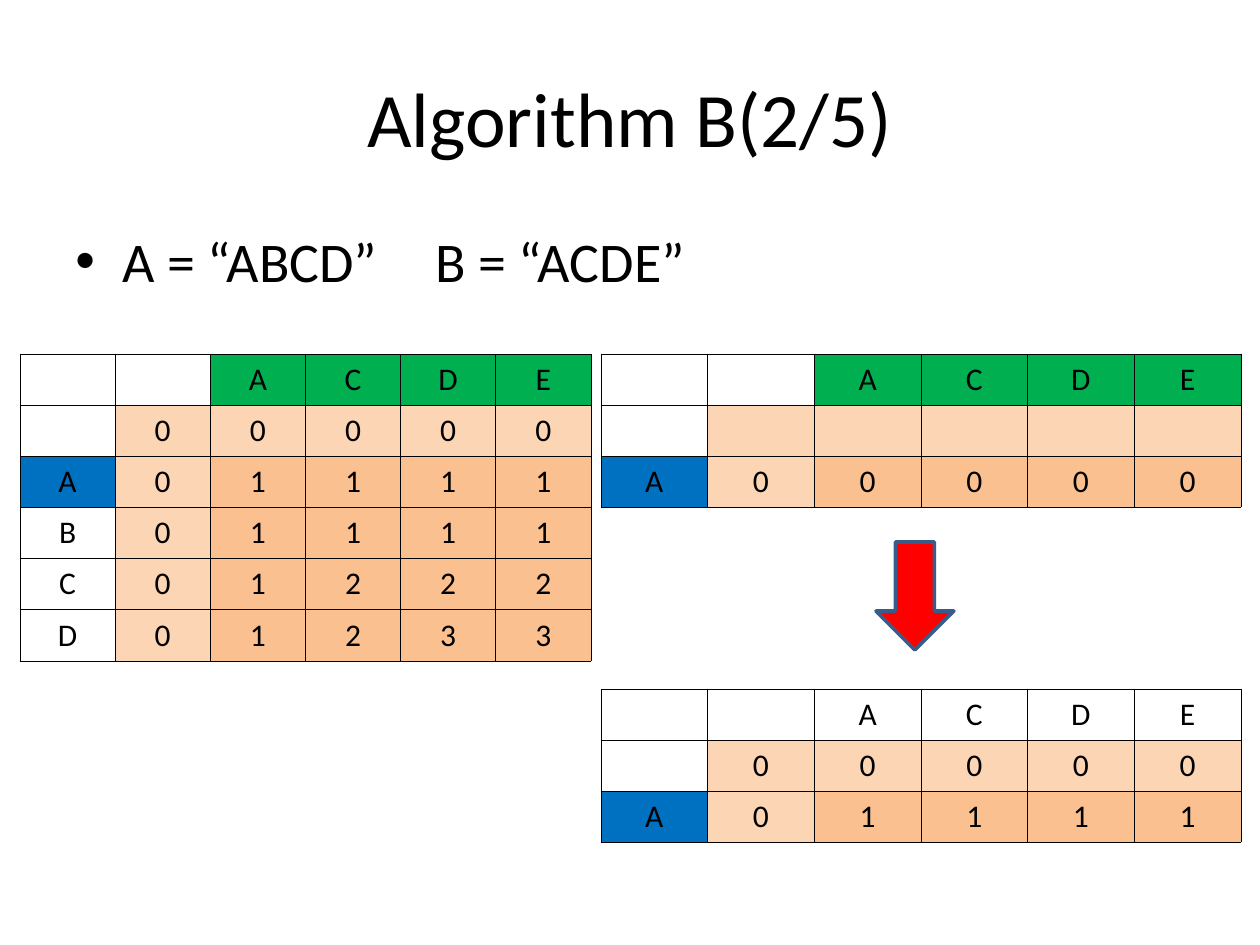
"""Build the slide on the table-filling steps of Algorithm B."""
from lxml.etree import SubElement
from pptx import Presentation
from pptx.dml.color import RGBColor
from pptx.enum.shapes import MSO_SHAPE
from pptx.enum.text import MSO_ANCHOR, PP_ALIGN
from pptx.oxml.ns import qn
from pptx.util import Pt

EMU_PER_PX = 914400 / 126
FONT = "Calibri"
COLORS = {
    "text": "000000",
    "border": "000000",
    "column": "00B050",
    "row": "0070C0",
    "base": "FCD5B5",
    "result": "FAC090",
    "arrow": "FF0000",
    "arrow_line": "385D8A",
}


def px(length):
    """Turn pixels into EMU."""
    return round(length * EMU_PER_PX)


def color(name):
    """Return the named colour."""
    return RGBColor.from_string(COLORS[name])


def write(para, text, size=18, align=PP_ALIGN.LEFT):
    """Write one formatted span into a paragraph."""
    para.alignment = align
    span = para.add_run()
    span.text = text
    span.font.name = FONT
    span.font.size = Pt(size)
    span.font.bold = False
    span.font.color.rgb = color("text")


def add_text_box(page, box, anchor):
    """Add a wrapping text box and return its first paragraph."""
    frame = page.shapes.add_textbox(*map(px, box)).text_frame
    frame.word_wrap = True
    frame.vertical_anchor = anchor
    return frame.paragraphs[0]


def add_title(page, box, text):
    """Add the centred slide title."""
    write(add_text_box(page, box, MSO_ANCHOR.MIDDLE), text, size=44, align=PP_ALIGN.CENTER)


def add_bullet(page, box, text, indent, tab):
    """Add a bulleted line with one tab stop."""
    para = add_text_box(page, box, MSO_ANCHOR.TOP)
    props = para._p.get_or_add_pPr()
    props.set("marL", str(px(indent)))
    props.set("indent", str(-px(indent)))
    SubElement(props, qn("a:buFont"), typeface="Arial")
    SubElement(props, qn("a:buChar"), char="•")
    stops = SubElement(props, qn("a:tabLst"))
    SubElement(stops, qn("a:tab"), pos=str(px(tab)), algn="l")
    write(para, text, size=32)


def add_borders(cell):
    """Draw a thin line on all four sides of a cell."""
    props = cell._tc.get_or_add_tcPr()
    for side in ("a:lnL", "a:lnR", "a:lnT", "a:lnB"):
        line = SubElement(props, qn(side), w=str(Pt(0.45)))
        fill = SubElement(line, qn("a:solidFill"))
        SubElement(fill, qn("a:srgbClr"), val=COLORS["border"])


def cell_role(row, column, mark_columns):
    """Return the colour name of a cell, or None for a plain one."""
    if row == 0:
        return "column" if mark_columns and column > 1 else None
    if column == 0:
        return "row" if row == 2 else None
    return "base" if row == 1 or column == 1 else "result"


def add_grid(page, box, rows, mark_columns=True):
    """Add a table of equal cells, one string of rows per table row."""
    left, top, width, height = box
    count = len(rows[0])
    table = page.shapes.add_table(len(rows), count, *map(px, box)).table
    table.first_row = False
    table.horz_banding = False
    for column in table.columns:
        column.width = px(width / count)
    for row_index, letters in enumerate(rows):
        table.rows[row_index].height = px(height / len(rows))
        for column_index, letter in enumerate(letters):
            cell = table.cell(row_index, column_index)
            add_borders(cell)
            role = cell_role(row_index, column_index, mark_columns)
            if role:
                cell.fill.solid()
                cell.fill.fore_color.rgb = color(role)
            else:
                cell.fill.background()
            if letter != " ":
                write(cell.text_frame.paragraphs[0], letter, align=PP_ALIGN.CENTER)


def add_arrow(page, box):
    """Add the block arrow pointing down."""
    arrow = page.shapes.add_shape(MSO_SHAPE.DOWN_ARROW, *map(px, box))
    arrow.shadow.inherit = False
    arrow.fill.solid()
    arrow.fill.fore_color.rgb = color("arrow")
    arrow.line.color.rgb = color("arrow_line")
    arrow.line.width = Pt(2)


def main():
    """Build and save the deck."""
    deck = Presentation()
    deck.slide_width, deck.slide_height = px(1260), px(945)
    page = deck.slides.add_slide(deck.slide_layouts[6])
    add_title(page, (63, 38, 1134, 157), "Algorithm B(2/5)")
    add_bullet(page, (63, 220, 1134, 624), "A = “ABCD”\tB = “ACDE”", indent=47, tab=360)
    header = "  ACDE"
    add_grid(page, (20, 354, 571, 307),
             [header, " 00000", "A01111", "B01111", "C01222", "D01233"])
    add_grid(page, (601, 354, 640, 153), [header, "      ", "A00000"])
    add_grid(page, (601, 689, 640, 153), [header, " 00000", "A01111"], mark_columns=False)
    add_arrow(page, (876, 542, 78, 108))
    deck.save("out.pptx")


if __name__ == "__main__":
    main()
